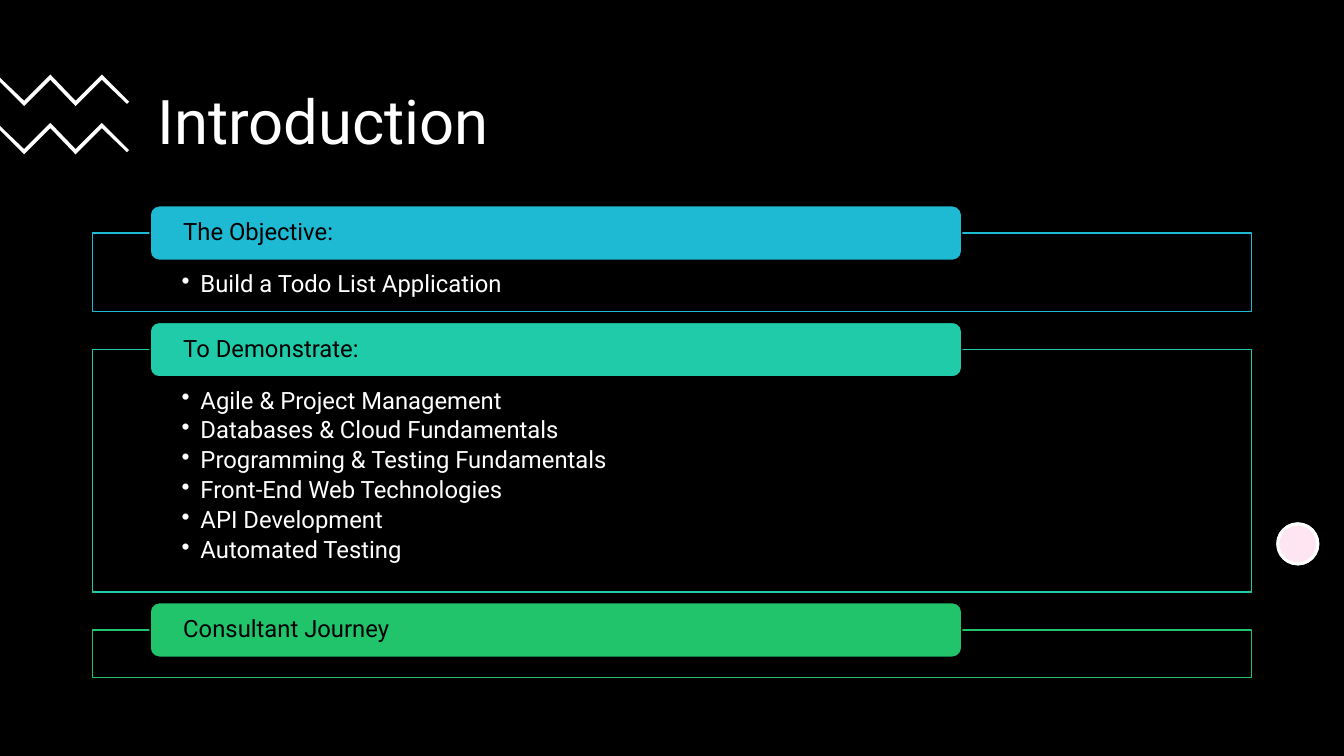
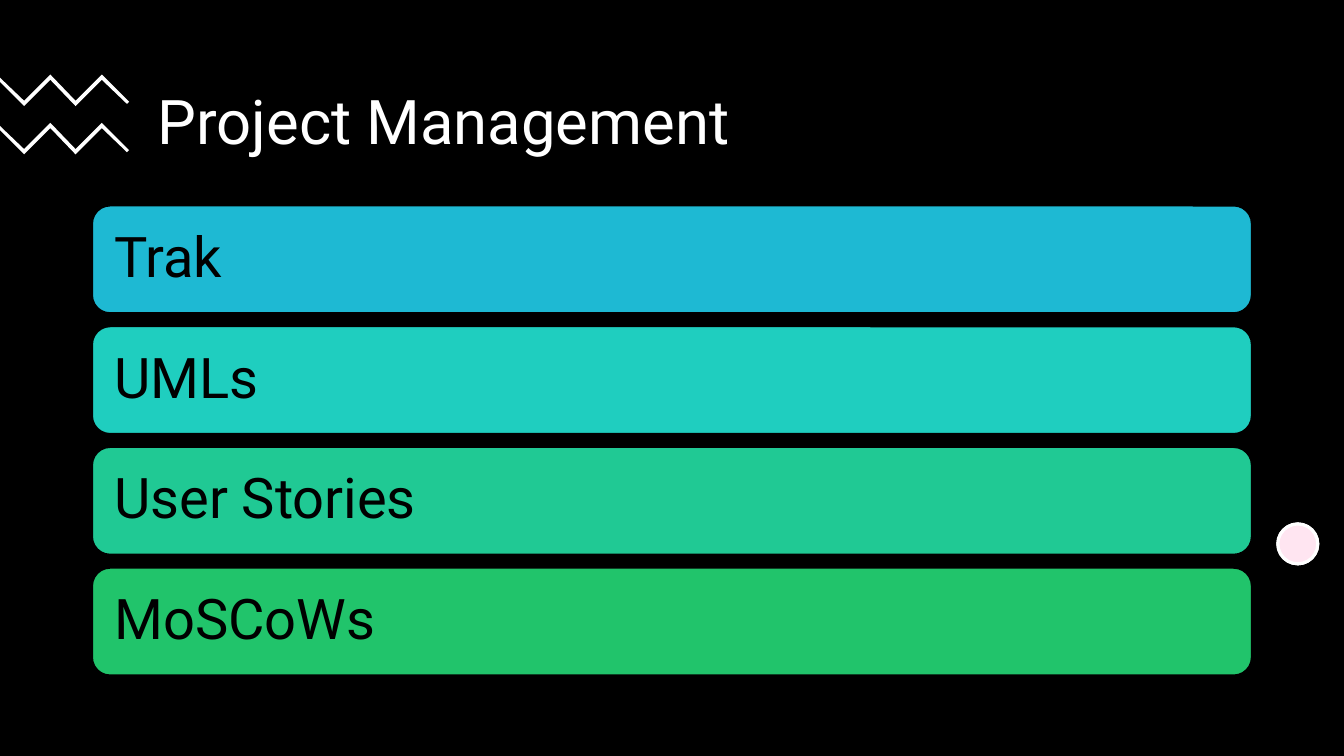
from dataclasses import dataclass

from pptx import Presentation
from pptx.dml.color import RGBColor
from pptx.enum.shapes import MSO_SHAPE as Shape
from pptx.enum.text import MSO_ANCHOR as Anchor, PP_ALIGN as Align
from pptx.oxml.ns import qn
from pptx.util import Emu, Pt
from lxml.etree import SubElement

EMU_PER_PX = 9525
PAGE_SIZE = (1280, 720)
ZIGZAG = [(48, 71), (72, 96), (97, 71), (123, 97), (121, 99), (97, 76),
          (72, 101), (48, 76), (23, 101), (0, 78), (0, 74), (23, 96)]
ZIGZAG_STEP = 46
CONTENT_LEFT, CONTENT_WIDTH = 88, 1104


@dataclass(frozen=True)
class Theme:
    """Colours and type of the deck."""
    font: str = "Roboto"
    dark: str = "000000"
    light: str = "FFFFFF"
    pink: str = "FF80BD"
    blue: str = "1EB9D3"
    cyan: str = "1FCEBF"
    teal: str = "20CBA9"
    mint: str = "20C994"
    green: str = "21C46B"
    title_size: int = 44
    bar_size: int = 40
    body_size: int = 17
    line_spacing: float = 0.9
    bullet_gap: int = 3


def px(length):
    """Convert pixels to EMU."""
    return Emu(length * EMU_PER_PX)


class DeckBuilder:
    """Draws styled elements on the current slide."""

    def __init__(self, theme):
        """Start an empty deck."""
        self.theme = theme
        self.deck = Presentation()
        self.deck.slide_width, self.deck.slide_height = map(px, PAGE_SIZE)
        self.page = None

    def add_page(self, title):
        """Add a slide with the shared background, title and ornaments."""
        theme = self.theme
        self.page = self.deck.slides.add_slide(self.deck.slide_layouts[6])
        fill = self.page.background.fill
        fill.solid()
        fill.fore_color.rgb = RGBColor.from_string(theme.dark)
        box = self.page.shapes.add_textbox(*map(px, (140, 60, 1023, 118)))
        self.set_text(box, [title], theme.title_size, theme.light, (10, 5, 10, 5))
        for row in range(2):
            self.zigzag(row * ZIGZAG_STEP)
        for colour, opacity in ((theme.light, 100), (theme.pink, 20)):
            self.shape(Shape.OVAL, (1217, 499, 38, 38), colour, theme.light, 2.25, opacity)

    def paint(self, shape, fill, line=None, width=1, opacity=100):
        """Set fill, outline and opacity without a shadow."""
        shape.shadow.inherit = False
        shape.fill.solid()
        shape.fill.fore_color.rgb = RGBColor.from_string(fill)
        if opacity < 100:
            colour = shape.element.spPr.find(qn("a:solidFill"))[0]
            SubElement(colour, qn("a:alpha"), val=str(opacity * 1000))
        if line:
            shape.line.color.rgb = RGBColor.from_string(line)
            shape.line.width = Pt(width)
        else:
            shape.line.fill.background()

    def shape(self, kind, frame, fill, line, width=1, opacity=100):
        """Add a painted preset shape."""
        shape = self.page.shapes.add_shape(kind, *map(px, frame))
        self.paint(shape, fill, line, width, opacity)
        return shape

    def zigzag(self, offset):
        """Add one zigzag band at the left edge."""
        points = [(px(x), px(y + offset)) for x, y in ZIGZAG]
        builder = self.page.shapes.build_freeform(*points[0], scale=1.0)
        builder.add_line_segments(points[1:], close=True)
        self.paint(builder.convert_to_shape(), self.theme.light)

    def set_text(self, shape, lines, size, colour, insets, anchor=Anchor.MIDDLE, bullets=False):
        """Fill a shape with styled paragraphs."""
        frame = shape.text_frame
        frame.word_wrap = True
        frame.vertical_anchor = anchor
        (frame.margin_left, frame.margin_top,
         frame.margin_right, frame.margin_bottom) = map(px, insets)
        frame.text = "\n".join(lines)
        for para in frame.paragraphs:
            para.alignment = Align.LEFT
            para.line_spacing = self.theme.line_spacing
            if bullets:
                self.bullet(para)
            for span in para.runs:
                span.font.name = self.theme.font
                span.font.size = Pt(size)
                span.font.color.rgb = RGBColor.from_string(colour)

    def bullet(self, para):
        """Give a paragraph a hanging bullet."""
        para.space_after = Pt(self.theme.bullet_gap)
        properties = para._p.get_or_add_pPr()
        properties.set("marL", str(px(18)))
        properties.set("indent", str(-px(18)))
        SubElement(properties, qn("a:buChar"), char="•")

    def bar(self, frame, text, colour, size, inset):
        """Add a rounded bar with dark text."""
        shape = self.shape(Shape.ROUNDED_RECTANGLE, frame, colour, self.theme.dark)
        self.set_text(shape, [text], size, self.theme.dark, (inset, 0, inset, 0))

    def section(self, top, height, heading, items, colour):
        """Add an outlined panel with a heading tab over its top edge."""
        theme = self.theme
        panel = self.shape(Shape.RECTANGLE, (CONTENT_LEFT, top, CONTENT_WIDTH, height),
                           theme.dark, colour)
        if items:
            self.set_text(panel, items, theme.body_size, theme.light, (85, 37, 85, 12),
                          Anchor.TOP, bullets=True)
        self.bar((143, top - 26, 773, 52), heading, colour, theme.body_size, 29)


def add_introduction(builder):
    """Build the introduction slide."""
    theme = builder.theme
    builder.add_page("Introduction")
    sections = [
        (75, "The Objective:", ["Build a Todo List Application"], theme.blue),
        (231, "To Demonstrate:", [
            "Agile & Project Management",
            "Databases & Cloud Fundamentals",
            "Programming & Testing Fundamentals",
            "Front-End Web Technologies",
            "API Development",
            "Automated Testing",
        ], theme.teal),
        (45, "Consultant Journey", [], theme.green),
    ]
    top, gap = 222, 36
    for height, heading, items, colour in sections:
        builder.section(top, height, heading, items, colour)
        top += height + gap


def add_project_management(builder):
    """Build the project management slide."""
    theme = builder.theme
    builder.add_page("Project Management")
    topics = [("Trak", theme.blue), ("UMLs", theme.cyan),
              ("User Stories", theme.mint), ("MoSCoWs", theme.green)]
    top, height, step = 196, 102, 115
    for index, (topic, colour) in enumerate(topics):
        frame = (CONTENT_LEFT, top + index * step, CONTENT_WIDTH, height)
        builder.bar(frame, topic, colour, theme.bar_size, 16)


def main():
    """Build and save the deck."""
    builder = DeckBuilder(Theme())
    add_introduction(builder)
    add_project_management(builder)
    builder.deck.save("out.pptx")


if __name__ == "__main__":
    main()
